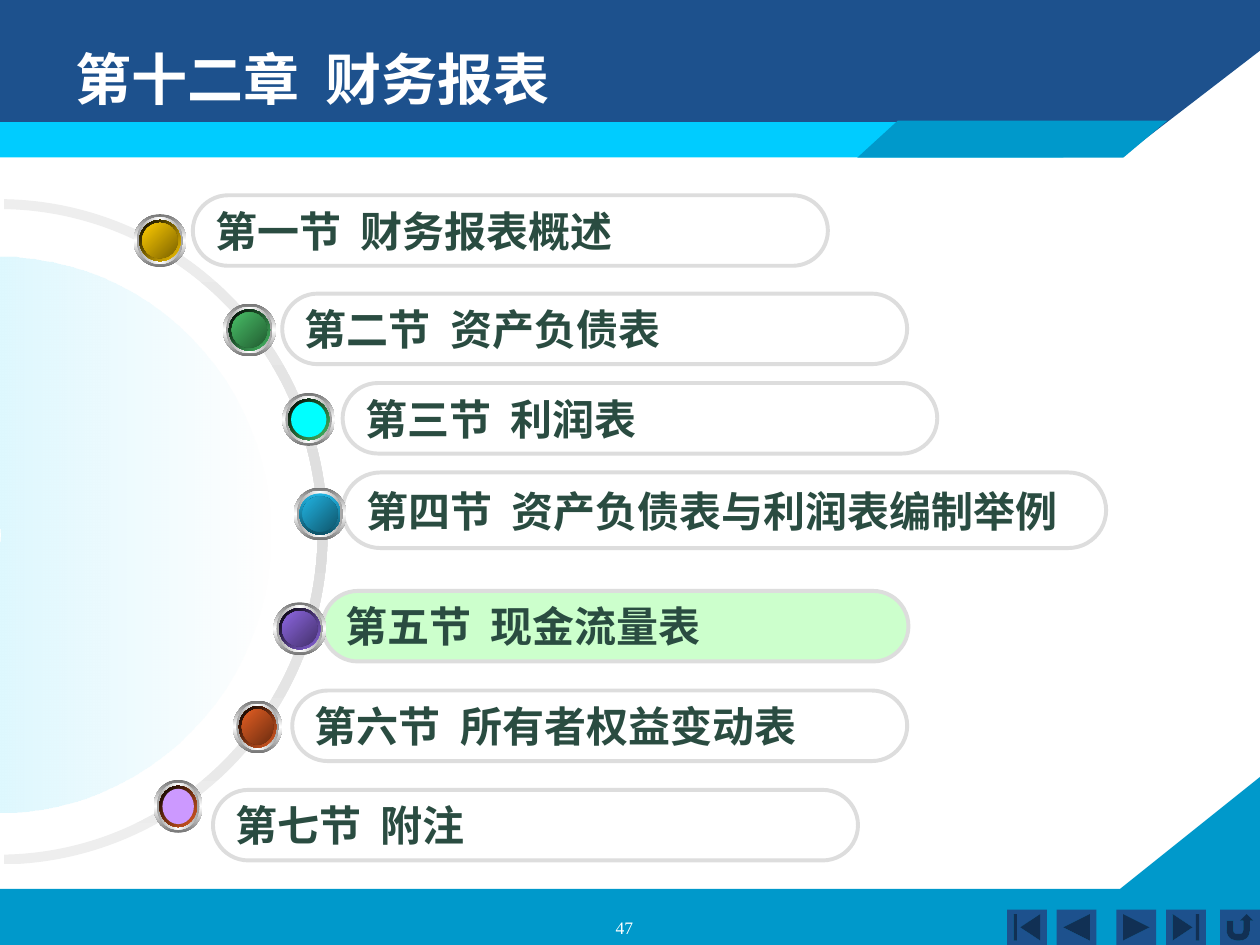
import pptx
import pptx.util
from lxml import etree
from pptx.dml.color import RGBColor
from pptx.enum.shapes import MSO_SHAPE
from pptx.enum.text import MSO_ANCHOR, PP_ALIGN
from pptx.oxml.ns import qn

Pt = pptx.util.Pt

# Content
TITLE = "第十二章  财务报表"
PAGE_NUMBER = "47"
PLAIN, CURRENT = None, "CCFFCC"
# text, left, top, width, height, fill, space before
SECTIONS = [
    ("第一节  财务报表概述", 110.2, 111.6, 362.9, 40.3, PLAIN),
    ("第二节  资产负债表", 161.3, 167.8, 357.1, 40.3, PLAIN),
    ("第三节  利润表", 195.8, 218.9, 339.8, 40.3, PLAIN),
    ("第四节  资产负债表与利润表编制举例", 195.8, 270, 436.3, 43.2, PLAIN),
    ("第五节  现金流量表", 184.3, 337.7, 334.8, 40.3, CURRENT),
    ("第六节  所有者权益变动表", 167, 394.6, 351.4, 40.3, PLAIN),
    ("第七节  附注", 121.7, 451.4, 368.6, 40.3, PLAIN),
]
# left, top, width, well colours, well angle, face colours (dark to bright)
DOTS = [
    (76.3, 122.4, 30.2, ("FFCC00", "000000"), 225, ("7B6200", "FFCC00")),
    (127.4, 173.5, 30.2, ("48BE67", "000000"), 225, ("225C31", "48BE67")),
    (161.3, 224.6, 30.2, ("48BE67", "000000"), 225, ("00FFFF",)),
    (167.8, 278.6, 30.2, ("21B3E1", "0F5267"), 90, ("0F566C", "21B3E1")),
    (156.2, 344.2, 30.2, ("8D67E1", "000000"), 225, ("44316C", "8D67E1")),
    (133.2, 400.3, 28, ("E35E23", "000000"), 225, ("6D2D10", "E35E23")),
    (87.8, 445.7, 28, ("E35E23", "000000"), 225, ("CC99FF",)),
]
DOT_HEIGHT = 30.2
BANDS = {
    "footer": ("0099CB", [(0, 508.3), (640, 508.3), (720, 444.2), (720, 540), (0, 540)]),
    "header": ("1D518D", [(0, 0), (720, 0), (720, 28.8), (642.2, 88.6), (0, 89.3)]),
    "stripe": ("00CCFF", (0, 69.8, 607.7, 20.2)),
    "accent": ("0099CB", [(489.6, 90), (642.2, 90), (667.4, 69.1), (513.4, 69.1)]),
}
BUTTONS = [
    (MSO_SHAPE.ACTION_BUTTON_BEGINNING, 575.5),
    (MSO_SHAPE.ACTION_BUTTON_BACK_OR_PREVIOUS, 603.8),
    (MSO_SHAPE.ACTION_BUTTON_FORWARD_OR_NEXT, 638),
    (MSO_SHAPE.ACTION_BUTTON_END, 666.3),
    (MSO_SHAPE.ACTION_BUTTON_RETURN, 697.2),
]

presentation = pptx.Presentation()
presentation.slide_width, presentation.slide_height = Pt(720), Pt(540)
slide = presentation.slides.add_slide(presentation.slide_layouts[5])


def colour(value):
    return RGBColor.from_string(value)


def paint(shape, colours, angle=0, alpha=None):
    """Fill without outline: no colour, one colour, or an even gradient."""
    shape.shadow.inherit = False
    shape.line.fill.background()
    if not colours:
        shape.fill.background()
    elif len(colours) == 1:
        shape.fill.solid()
        shape.fill.fore_color.rgb = colour(colours[0])
    else:
        shape.fill.gradient()
        shape.fill.gradient_angle = (360 - angle) % 360
        stops = next(shape._element.iter(qn("a:gsLst")))
        for stop in list(stops):
            stops.remove(stop)
        for index, value in enumerate(colours):
            position = 100000 * index // (len(colours) - 1)
            stop = etree.SubElement(stops, qn("a:gs"), pos=str(position))
            tint = etree.SubElement(stop, qn("a:srgbClr"), val=value)
            if alpha:
                etree.SubElement(tint, qn("a:alpha"), val=str(alpha[index] * 1000))


def add_preset(kind, left, top, width, height, colours, angle=0, alpha=None):
    shape = slide.shapes.add_shape(kind, Pt(left), Pt(top), Pt(width), Pt(height))
    paint(shape, colours, angle, alpha)
    return shape


def add_outline(points, fill):
    builder = slide.shapes.build_freeform(*points[0], scale=Pt(1))
    builder.add_line_segments(points[1:], close=True)
    paint(builder.convert_to_shape(), [fill])


def write(shape, text, size, font, fill, bold, alignment, anchor):
    frame = shape.text_frame
    frame.vertical_anchor = anchor
    paragraph = frame.paragraphs[0]
    paragraph.alignment = alignment
    run = paragraph.add_run()
    run.text = text
    run.font.size, run.font.name, run.font.bold = Pt(size), font, bold
    run.font.color.rgb = colour(fill)


def add_half_ring(left, top, width, height, start, end, thickness, *gradient):
    """Right-hand half ring; start and end are degrees clockwise from the right."""
    shape = add_preset(MSO_SHAPE.BLOCK_ARC, left, top, width, height, *gradient)
    shape.adjustments[0] = start * 0.6
    shape.adjustments[1] = end * 0.6
    shape.adjustments[2] = thickness


# Header and footer bands
add_outline(BANDS["footer"][1], BANDS["footer"][0])
add_outline(BANDS["header"][1], BANDS["header"][0])
add_preset(MSO_SHAPE.RECTANGLE, *BANDS["stripe"][1], [BANDS["stripe"][0]])
add_outline(BANDS["accent"][1], BANDS["accent"][0])

# Navigation buttons
for kind, left in BUTTONS:
    add_preset(kind, left, 519.8, 22.7, 20.2, ["1D518D"])

# Large arc and half disc
add_half_ring(-188.6, 113.8, 375.8, 380.2, 270.87, 89.13, 0.015,
              ["EEEEEE", "DDDDDD", "EEEEEE"], 90)
add_half_ring(-155.2, 146.5, 309.6, 317.5, 270, 90, 0.497,
              ["7FE5FE", "FEFEFE"], 0, (52, 48))

# Title, placed above the header band
title = slide.shapes.title
title._element.getparent().append(title._element)
title.left, title.top, title.width, title.height = Pt(36), Pt(21.6), Pt(648), Pt(90)
write(title, TITLE, 32, "DejaVu Sans", "FFFFFF", True, PP_ALIGN.LEFT, MSO_ANCHOR.TOP)

# Section pills
for text, left, top, width, height, fill in SECTIONS:
    pill = add_preset(MSO_SHAPE.ROUNDED_RECTANGLE, left, top, width, height,
                      [fill] if fill else [])
    pill.adjustments[0] = 0.5
    pill.line.color.rgb = colour("DDDDDD")
    pill.line.width = Pt(2.25)
    pill.text_frame.word_wrap = False
    write(pill, text, 24, "Arial", "2A4C41", True, PP_ALIGN.LEFT, MSO_ANCHOR.MIDDLE)

# Dots: concentric rim, bevel, well and face
for left, top, width, well, well_angle, face in DOTS:
    layers = [
        (0, ("757575", "FFFFFF", "757575"), 90),
        (1.8, ("A1A1A1", "FFFFFF", "A1A1A1"), 180),
        (3.3, well, well_angle),
        (5, face, 225),
    ]
    for inset, colours, angle in layers:
        add_preset(MSO_SHAPE.OVAL, left + inset, top + inset, width - 2 * inset,
                   DOT_HEIGHT - 2 * inset, colours, angle)

# Page number
number = slide.shapes.add_textbox(Pt(272.9), Pt(520.6), Pt(167.8), Pt(13))
number.text_frame.word_wrap = True
write(number, PAGE_NUMBER, 10, "Times New Roman", "FFFFFF", False,
      PP_ALIGN.CENTER, MSO_ANCHOR.TOP)

presentation.save("out.pptx")
